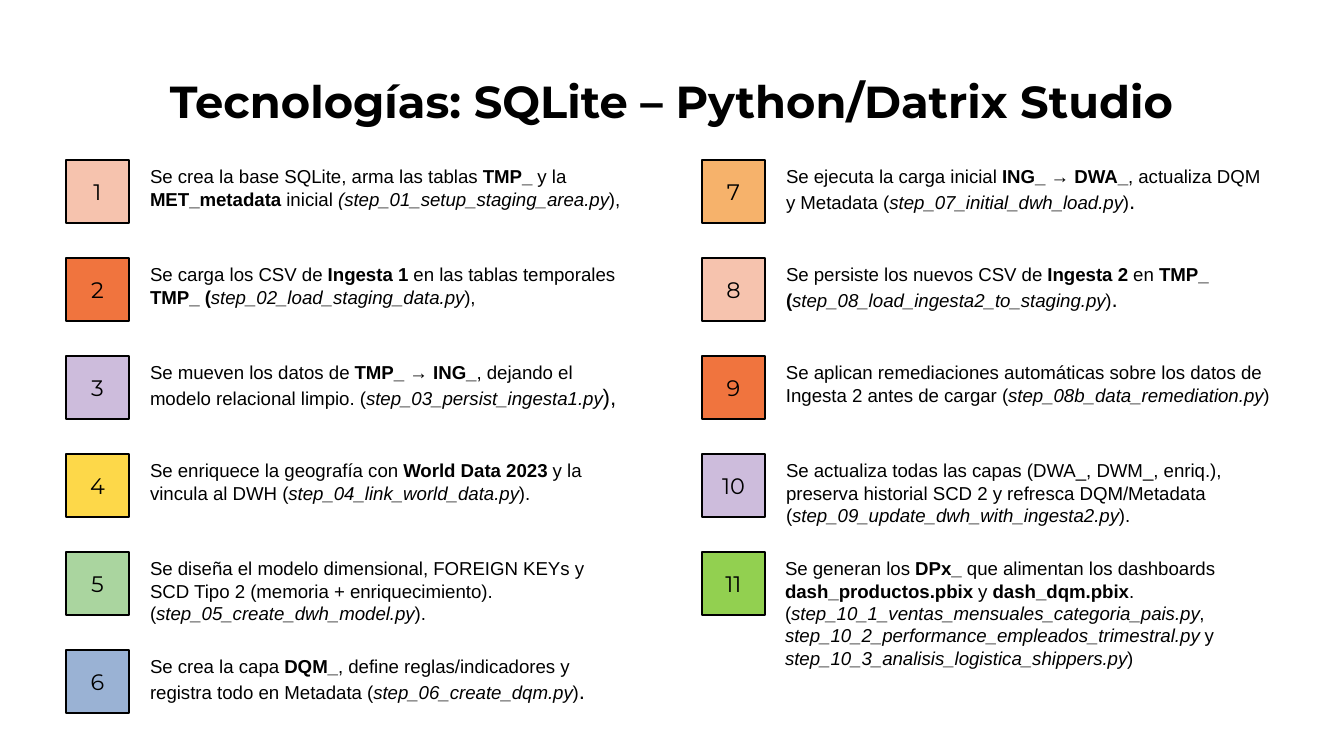
from dataclasses import dataclass
from itertools import groupby

from pptx import Presentation
from pptx import util as u
from pptx.dml.color import RGBColor
from pptx.enum import shapes, text

PX = 914400 / 134.4


@dataclass(frozen=True)
class Theme:
    ink: str = "000000"
    peach: str = "F6C3AE"
    coral: str = "F0743E"
    lilac: str = "CDBCDC"
    yellow: str = "FDD849"
    green: str = "AAD59F"
    blue: str = "9AB2D4"
    orange: str = "F6B26B"
    lime: str = "92D050"
    heading_font: str = "Montserrat"
    body_font: str = "Arial"
    title_size: int = 24
    badge_size: int = 12
    body_size: int = 10
    large_size: int = 12


T = Theme()
BOLD, ITALIC, LARGE = MARKS = "*~^"
ROWS, ROW_STEP, COLUMN_STEP = 6, 98, 636
BADGE_LEFT, BADGE_TOP, BADGE_SIDE = 66, 160, 63
TEXT_LEFT, TEXT_TOP, TEXT_WIDTH, TEXT_HEIGHT = 137, 152, 504, 82
INSET = 13

STEPS = [
    (T.peach, "Se crea la base SQLite, arma las tablas *TMP_* y la *MET_metadata* inicial "
              "~(step_01_setup_staging_area.py~),"),
    (T.coral, "Se carga los CSV de *Ingesta 1* en las tablas temporales "
              "*TMP_ (*~step_02_load_staging_data.py~),"),
    (T.lilac, "Se mueven los datos de *TMP_ → ING_*, dejando el modelo relacional limpio. "
              "(~step_03_persist_ingesta1.py~^),"),
    (T.yellow, "Se enriquece la geografía con *World Data 2023* y la vincula al DWH "
               "(~step_04_link_world_data.py~)."),
    (T.green, "Se diseña el modelo dimensional, FOREIGN KEYs y SCD Tipo 2 "
              "(memoria + enriquecimiento). (~step_05_create_dwh_model.py~)."),
    (T.blue, "Se crea la capa *DQM_*, define reglas/indicadores y registra todo en Metadata "
             "(~step_06_create_dqm.py~)^."),
    (T.orange, "Se ejecuta la carga inicial *ING_ → DWA_*, actualiza DQM y Metadata "
               "(~step_07_initial_dwh_load.py~)^."),
    (T.peach, "Se persiste los nuevos CSV de *Ingesta 2* en "
              "*TMP_ (*~step_08_load_ingesta2_to_staging.py~)^."),
    (T.coral, "Se aplican remediaciones automáticas sobre los datos de Ingesta 2 antes de "
              "cargar (~step_08b_data_remediation.py~)"),
    (T.lilac, "Se actualiza todas las capas (DWA_, DWM_, enriq.), preserva historial SCD 2 "
              "y refresca DQM/Metadata (~step_09_update_dwh_with_ingesta2.py~)."),
    (T.lime, "Se generan los *DPx_* que alimentan los dashboards *dash_productos.pbix *y "
             "*dash_dqm.pbix*. (~step_10_1_ventas_mensuales_categoria_pais.py~, "
             "~step_10_2_performance_empleados_trimestral.py ~y "
             "~step_10_3_analisis_logistica_shippers.py~)"),
]
SPECIAL_BOXES = {9: {"width": 519}, 11: {"left": 772, "height": 171}}


def px(n):
    return u.Emu(round(n * PX))


def set_all(obj, **values):
    for name, value in values.items():
        setattr(obj, name, value)


def place(sp, left, top, width, height):
    set_all(sp, left=px(left), top=px(top), width=px(width), height=px(height))


def format_frame(tf, anchor=text.MSO_ANCHOR.TOP):
    margins = {f"margin_{side}": px(INSET) for side in ("left", "top", "right", "bottom")}
    set_all(tf, word_wrap=True, auto_size=text.MSO_AUTO_SIZE.NONE,
            vertical_anchor=anchor, **margins)


def add_run(p, words, font, size, **style):
    r = p.add_run()
    r.text = words
    set_all(r.font, name=font, size=u.Pt(size), **style)
    r.font.color.rgb = RGBColor.from_string(T.ink)


def add_marked_runs(p, markup):
    active = set()
    for is_mark, chars in groupby(markup, lambda c: c in MARKS):
        if is_mark:
            active ^= set(chars)
        else:
            add_run(p, "".join(chars), T.body_font,
                    T.large_size if LARGE in active else T.body_size,
                    bold=BOLD in active, italic=ITALIC in active)


def add_title(s, words):
    sp = s.shapes.title
    place(sp, 66, 61, 1211, 82)
    format_frame(sp.text_frame)
    p = sp.text_frame.paragraphs[0]
    p.alignment = text.PP_ALIGN.CENTER
    add_run(p, words, T.heading_font, T.title_size, bold=True)


def add_badge(s, number, fill, left, top):
    sp = s.shapes.add_shape(shapes.MSO_SHAPE.RECTANGLE, px(left), px(top),
                            px(BADGE_SIDE), px(BADGE_SIDE))
    sp.shadow.inherit = False
    sp.fill.solid()
    sp.fill.fore_color.rgb = RGBColor.from_string(fill)
    sp.line.color.rgb = RGBColor.from_string(T.ink)
    sp.line.width = u.Pt(0.75)
    format_frame(sp.text_frame, text.MSO_ANCHOR.MIDDLE)
    p = sp.text_frame.paragraphs[0]
    p.alignment = text.PP_ALIGN.CENTER
    add_run(p, str(number), T.heading_font, T.badge_size)


def add_description(s, markup, left, top, width=TEXT_WIDTH, height=TEXT_HEIGHT):
    sp = s.shapes.add_textbox(px(left), px(top), px(width), px(height))
    format_frame(sp.text_frame)
    add_marked_runs(sp.text_frame.paragraphs[0], markup)


def main():
    prs = Presentation()
    set_all(prs, slide_width=px(1344), slide_height=px(756))
    s = prs.slides.add_slide(prs.slide_layouts[5])
    add_title(s, "Tecnologías: SQLite – Python/Datrix Studio")
    for i, (fill, markup) in enumerate(STEPS):
        column, row = divmod(i, ROWS)
        dx, dy = column * COLUMN_STEP, row * ROW_STEP
        add_badge(s, i + 1, fill, BADGE_LEFT + dx, BADGE_TOP + dy)
        box = {"left": TEXT_LEFT + dx, "top": TEXT_TOP + dy}
        add_description(s, markup, **{**box, **SPECIAL_BOXES.get(i + 1, {})})
    prs.save("out.pptx")


if __name__ == "__main__":
    main()
